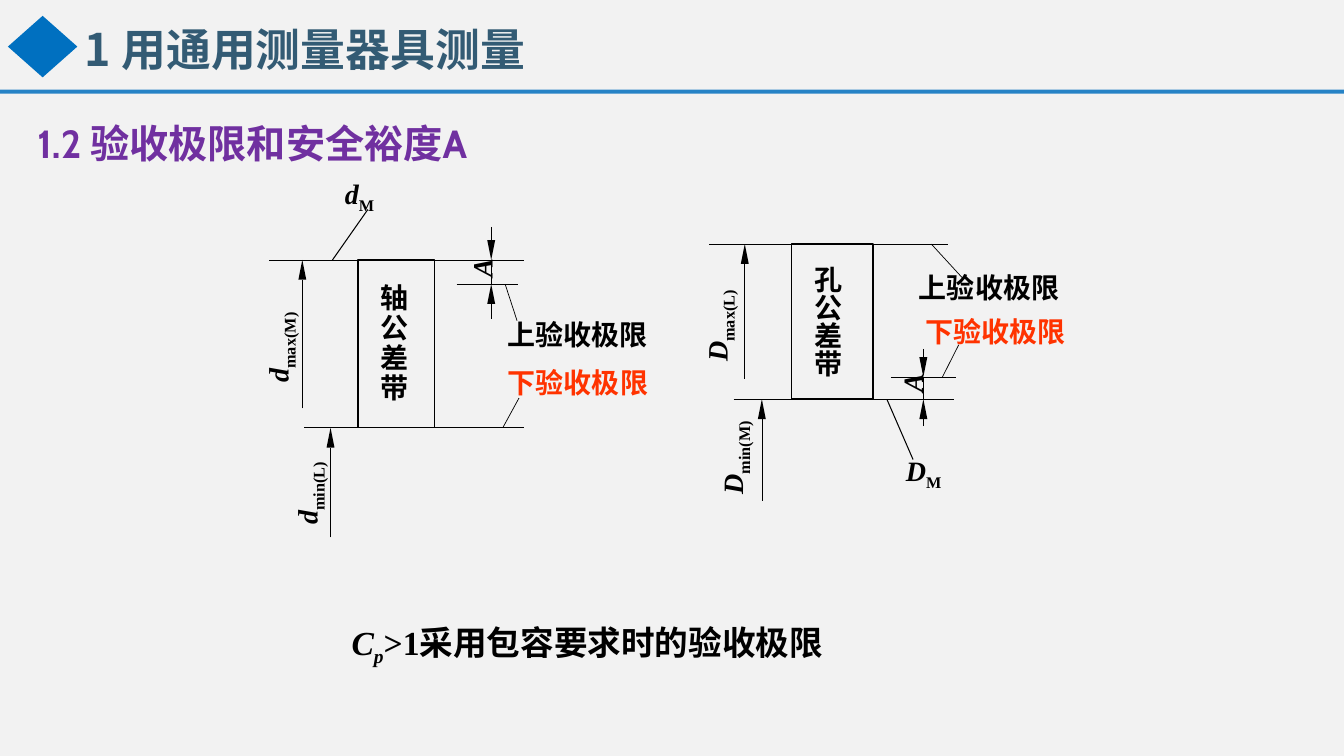
from lxml.etree import SubElement
from pptx import Presentation
from pptx.dml.color import RGBColor
from pptx.enum.shapes import MSO_CONNECTOR, MSO_SHAPE
from pptx.enum.text import MSO_ANCHOR, MSO_AUTO_SIZE, PP_ALIGN
from pptx.oxml.ns import qn
from pptx.util import Cm, Pt

WIDE, HIGH = 33.87, 19.05
ROMAN, HAN = "Times New Roman", "Noto Sans CJK SC"
BLACK, RED = "000000", "FF3300"
HEAD, HALF = 0.5, 0.1  # length and half width of an arrowhead


def color(code):
    return RGBColor.from_string(code)


# ---- Basic parts ----
def write(shape, runs, font=ROMAN, size=20, ink=BLACK, wrap=True,
          anchor=MSO_ANCHOR.TOP, space=None):
    """Runs are pairs of text and style: i for italic, s for subscript."""
    frame = shape.text_frame
    frame.auto_size = MSO_AUTO_SIZE.NONE
    frame.word_wrap = wrap
    frame.vertical_anchor = anchor
    frame.margin_left = frame.margin_right = 0
    frame.margin_top = frame.margin_bottom = 0
    para = frame.paragraphs[0]
    para.alignment = PP_ALIGN.LEFT
    para.space_before = Pt(0)
    if space:
        para.line_spacing = space
    if isinstance(runs, str):
        runs = [(runs, "")]
    for words, style in runs:
        run = para.add_run()
        run.text = words
        run.font.name, run.font.size, run.font.bold = font, Pt(size), True
        run.font.italic = "i" in style
        run.font.color.rgb = color(ink)
        props = run._r.get_or_add_rPr()
        if "s" in style:
            props.set("baseline", "-25000")
        SubElement(props, qn("a:ea")).set("typeface", HAN)


def label(slide, x, y, w, h, runs, **form):
    shape = slide.shapes.add_textbox(Cm(x), Cm(y), Cm(w), Cm(h))
    write(shape, runs, **form)
    return shape


def upright(slide, x, base, size, runs):
    """Text that reads upwards from the height base, with its top at x."""
    deep = 1.4
    shape = label(slide, x + (deep - size) / 2, base - (size + deep) / 2,
                  size, deep, runs, wrap=False)
    shape.rotation = 270


def block(slide, kind, x, y, w, h, fill=None):
    shape = slide.shapes.add_shape(kind, Cm(x), Cm(y), Cm(w), Cm(h))
    shape.shadow.inherit = False
    if fill:
        shape.fill.solid()
        shape.fill.fore_color.rgb = color(fill)
        shape.line.fill.background()
    else:
        shape.fill.background()
        shape.line.color.rgb = color(BLACK)
        shape.line.width = Pt(1)


def line(slide, x1, y1, x2, y2, width=0.5):
    link = slide.shapes.add_connector(
        MSO_CONNECTOR.STRAIGHT, Cm(x1), Cm(y1), Cm(x2), Cm(y2))
    link.line.color.rgb = color(BLACK)
    link.line.width = Pt(width)
    SubElement(link._element.spPr, qn("a:effectLst"))


def arrow(slide, x, start, tip):
    """Vertical dimension arrow with a slim solid head."""
    neck = tip + HEAD if start > tip else tip - HEAD
    line(slide, x, start, x, neck)
    path = slide.shapes.build_freeform(Cm(x - HALF), Cm(neck))
    path.add_line_segments([(Cm(x + HALF), Cm(neck)), (Cm(x), Cm(tip))])
    head = path.convert_to_shape()
    head.shadow.inherit = False
    head.fill.solid()
    head.fill.fore_color.rgb = color(BLACK)
    head.line.fill.background()


# ---- Regions ----
def banner(slide, x, y, w, h):
    block(slide, MSO_SHAPE.DIAMOND, x + 0.2, y + 0.4, 1.75, 1.55, "0070C0")
    block(slide, MSO_SHAPE.RECTANGLE, x, y + h - 0.1, w, 0.1, "2683C6")
    title = slide.shapes.title
    title.left, title.top = Cm(x + 2.14), Cm(y + 0.3)
    title.width, title.height = Cm(20), Cm(1.85)
    write(title, "1 用通用测量器具测量", font=HAN, size=32, ink="335B74",
          anchor=MSO_ANCHOR.MIDDLE)


def topic(slide, x, y, w, h):
    body = slide.placeholders[1]
    body.left, body.top, body.width, body.height = Cm(x), Cm(y), Cm(w), Cm(h)
    write(body, "1.2 验收极限和安全裕度A", font="Cabin", size=28,
          ink="7030A0", anchor=MSO_ANCHOR.MIDDLE, space=1.5)
    props = body.text_frame.paragraphs[0]._p.get_or_add_pPr()
    props.set("marL", "0")
    props.set("indent", "0")
    SubElement(props, qn("a:buNone"))


def zone(slide, x, y, w, h, name, pitch, limits, sizes, gap, notes, mark):
    """Tolerance zone; all the places given are relative to its box."""
    block(slide, MSO_SHAPE.RECTANGLE, x, y, w, h)
    first = y + h / 2 - 2.1 * pitch
    for i, sign in enumerate(name):
        label(slide, x + 0.58, first + i * pitch, 1.15, pitch, sign, font=HAN)

    # Limit lines
    for left, right, level in limits:
        line(slide, x + left, y + level, x + right, y + level)

    # Size arrows with their symbols
    for pos, start, tip, side, base, runs in sizes:
        arrow(slide, x + pos, y + start, y + tip)
        upright(slide, x + side, y + base, 2.6, runs)

    # Safety margin A
    pos, start, top, low, end, side = gap
    arrow(slide, x + pos, y + start, y + top)
    arrow(slide, x + pos, y + end, y + low)
    line(slide, x + pos, y + top, x + pos, y + low)
    upright(slide, x + side, y + low - 0.18, 0.6, [("A", "i")])

    # Acceptance limits and measured size, each with its leader
    inks = (BLACK, RED)
    words = ("上验收极限", "下验收极限")
    for ink, word, (left, top, x1, y1, x2, y2) in zip(inks, words, notes):
        label(slide, x + left, y + top, 4, 1, word, font=HAN, ink=ink)
        line(slide, x + x1, y + y1, x + x2, y + y2)
    letter, left, top, x1, y1, x2, y2 = mark
    label(slide, x + left, y + top, 1.2, 0.9, [(letter, "i"), ("M", "s")])
    line(slide, x + x1, y + y1, x + x2, y + y2, 0.75)


def shaft(slide, x, y, w, h):
    step = 0.61
    zone(slide, x, y, w, h, "轴公差带", 0.76,
         limits=[(-2.24, 4.19, 0), (2.49, 4.04, step), (-1.35, 4.19, h)],
         sizes=[(-1.4, 3.74, 0, -2.45, 3.09, [("d", "i"), ("max(M)", "s")]),
                (-0.69, 6.99, h, -1.72, 6.67, [("d", "i"), ("min(L)", "s")])],
         gap=(3.36, -0.83, 0, step, 1.48, 2.69),
         notes=[(3.76, 1.45, 3.71, step, 4.01, 1.53),
                (3.78, 2.67, 3.65, h, 4.06, 3.48)],
         mark=("d", -0.33, -2.1, -0.64, 0, 0.25, -1.27))


def hole(slide, x, y, w, h):
    step = h - 0.56
    zone(slide, x, y, w, h, "孔公差带", 0.71,
         limits=[(-2.06, 3.94, 0), (2.51, 4.16, step), (-1.45, 4.11, h)],
         sizes=[(-1.17, 3.4, 0, -2.31, 2.97, [("D", "i"), ("max(L)", "s")]),
                (-0.74, 6.47, h, -1.92, 6.31, [("D", "i"), ("min(M)", "s")])],
         gap=(3.33, 2.64, step, h, 4.59, 2.62),
         notes=[(3.22, 0.66, 3.53, 0, 4.32, 0.86),
                (3.38, 1.77, 3.81, step, 4.22, 2.54)],
         mark=("D", 2.89, 5.28, 2.41, h, 3.07, 5.43))


def caption(slide, x, y, w, h):
    label(slide, x, y, w, h, [("C", "i"), ("p", "is"),
                              (">1采用包容要求时的验收极限", "")], size=24)


def main():
    deck = Presentation()
    deck.slide_width, deck.slide_height = Cm(WIDE), Cm(HIGH)
    slide = deck.slides.add_slide(deck.slide_layouts[1])
    slide.background.fill.solid()
    slide.background.fill.fore_color.rgb = color("F2F2F2")
    banner(slide, 0, 0, WIDE, 2.36)
    topic(slide, 0.94, 2.13, 20.5, 2.34)
    shaft(slide, 9.02, 6.55, 1.93, 4.23)
    hole(slide, 19.94, 6.15, 2.06, 3.91)
    caption(slide, 8.86, 15.67, 15.5, 0.9)
    deck.save("out.pptx")


if __name__ == "__main__":
    main()
